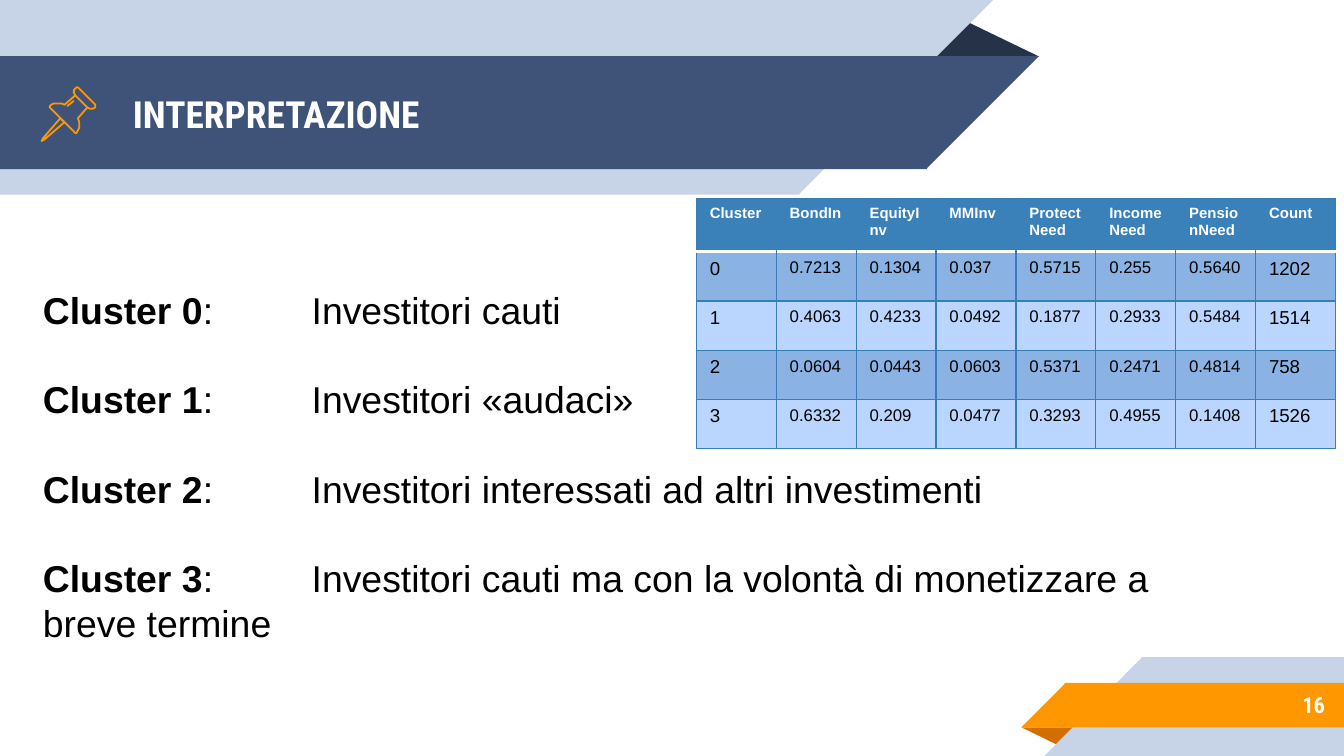
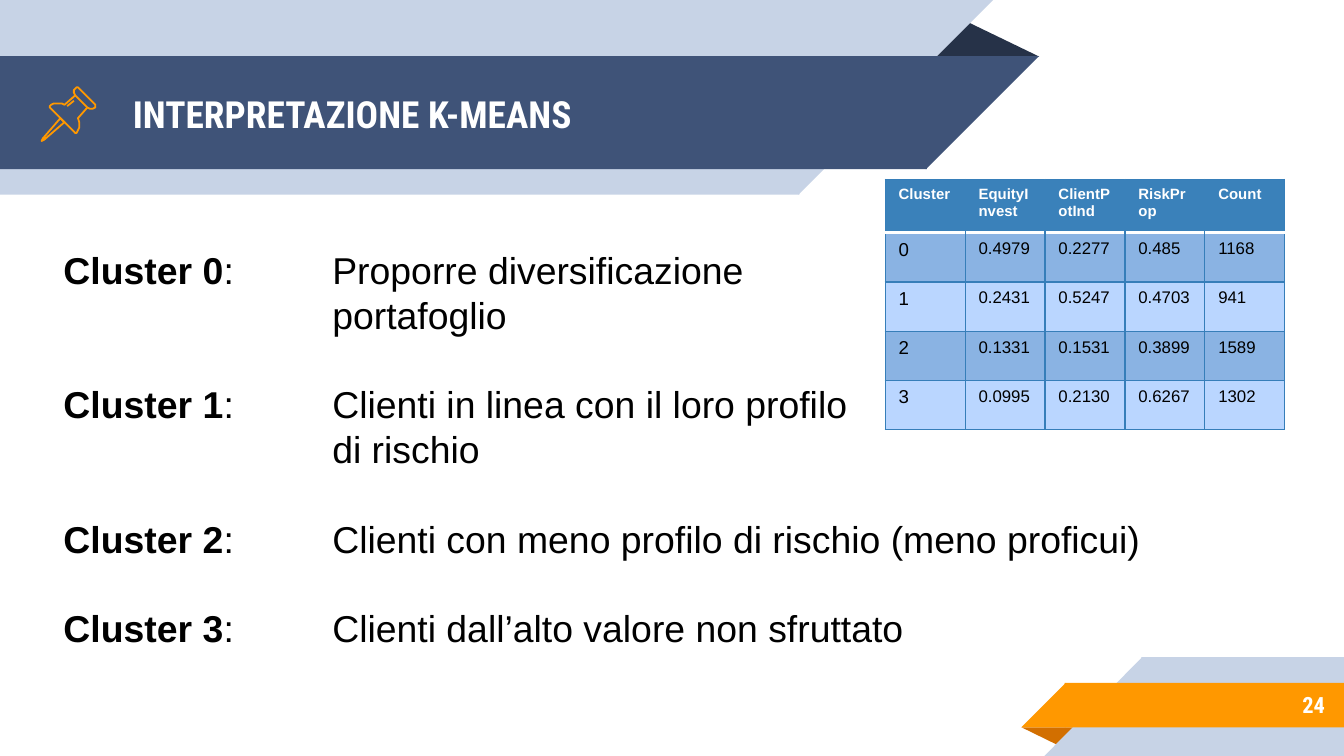
import pptx
import pptx.dml.color
import pptx.enum.shapes
import pptx.enum.text
import pptx.oxml
import pptx.oxml.ns
import pptx.util
from lxml import etree

Cm, Pt = pptx.util.Cm, pptx.util.Pt
SHAPE = pptx.enum.shapes.MSO_SHAPE
ALIGN = pptx.enum.text.PP_ALIGN
ANCHOR = pptx.enum.text.MSO_ANCHOR
qn = pptx.oxml.ns.qn

# Content
SLIDES = [
    {
        "title": "INTERPRETAZIONE",
        "number": "16",
        "body": (0.56, 5.29, 22.6, 7.09),
        "clusters": [
            ["Investitori cauti"],
            ["Investitori «audaci»"],
            ["Investitori interessati ad altri investimenti"],
            ["Investitori cauti ma con la volontà di monetizzare a breve termine"],
        ],
        "table_at": (13.16, 3.75),
        "large_columns": (0, 7),
        "table": [
            ["Cluster", "BondIn", "EquityInv", "MMInv", "ProtectNeed",
             "IncomeNeed", "PensionNeed", "Count"],
            ["0", "0.7213", "0.1304", "0.037", "0.5715", "0.255", "0.5640", "1202"],
            ["1", "0.4063", "0.4233", "0.0492", "0.1877", "0.2933", "0.5484", "1514"],
            ["2", "0.0604", "0.0443", "0.0603", "0.5371", "0.2471", "0.4814", "758"],
            ["3", "0.6332", "0.209", "0.0477", "0.3293", "0.4955", "0.1408", "1526"],
        ],
    },
    {
        "title": "INTERPRETAZIONE K-MEANS",
        "number": "24",
        "body": (0.95, 4.54, 22.6, 7.95),
        "clusters": [
            ["Proporre diversificazione", "portafoglio"],
            ["Clienti in linea con il loro profilo", "di rischio"],
            ["Clienti con meno profilo di rischio (meno proficui)"],
            ["Clienti dall’alto valore non sfruttato"],
        ],
        "table_at": (16.73, 3.39),
        "large_columns": (0,),
        "table": [
            ["Cluster", "EquityInvest", "ClientPotInd", "RiskProp", "Count"],
            ["0", "0.4979", "0.2277", "0.485", "1168"],
            ["1", "0.2431", "0.5247", "0.4703", "941"],
            ["2", "0.1331", "0.1531", "0.3899", "1589"],
            ["3", "0.0995", "0.2130", "0.6267", "1302"],
        ],
    },
]

# Shared style
COLORS = {
    "navy": "3F5378", "dark": "263248", "pale": "C7D3E6",
    "orange": "FF9800", "rust": "D26F00", "white": "FFFFFF", "black": "000000",
    "header": "3A81BA", "border": "367EB9", "band_odd": "8AB3E3", "band_even": "BAD6FF",
}
TITLE_FONT, BODY_FONT = "Roboto Condensed", "Arial"
COL_W, HEAD_H, ROW_H = 1.51, 1.01, 0.93
LINE_PITCH, TAB = 24, 5.08

# Bands: shape, left, top, width, height, colour, rotation, mirrored
BANDS = [
    (SHAPE.ISOSCELES_TRIANGLE, 17.48, 0.36, 2.16, 0.71, "dark", 0, False),
    (SHAPE.RECTANGLE, 0, 0, 15.11, 3.68, "pale", 0, False),
    (SHAPE.RIGHT_TRIANGLE, 15.09, 0, 3.68, 3.68, "pale", 180, True),
    (SHAPE.RECTANGLE, 0, 1.06, 17.52, 2.14, "navy", 0, False),
    (SHAPE.RIGHT_TRIANGLE, 17.5, 1.06, 2.14, 2.14, "navy", 180, True),
    (SHAPE.ISOSCELES_TRIANGLE, 19.31, 13.75, 1.08, 0.36, "rust", 180, False),
    (SHAPE.RECTANGLE, 21.57, 12.42, 3.83, 1.87, "pale", 0, False),
    (SHAPE.RIGHT_TRIANGLE, 19.74, 12.42, 1.85, 1.87, "pale", 0, True),
    (SHAPE.RECTANGLE, 20.12, 12.91, 5.28, 0.84, "orange", 0, False),
    (SHAPE.RIGHT_TRIANGLE, 19.3, 12.91, 0.84, 0.84, "orange", 0, True),
]

# Pushpin outlines in hundredths of an inch: points, closed
PIN = [
    ([(45, 88), (32, 103), (31, 105), (33, 104), (48, 91)], True),
    ([(56, 71), (65, 80), (67, 81), (69, 81), (71, 80), (71, 78), (58, 65),
      (57, 65), (56, 66), (55, 67), (55, 69)], True),
    ([(56, 71), (48, 78), (46, 77), (43, 77), (40, 77), (38, 78), (37, 79),
      (37, 80), (38, 81), (55, 98), (56, 99), (57, 99), (58, 97), (59, 95),
      (59, 91), (58, 88), (65, 80)], False),
    ([(50, 79), (55, 75)], False),
]


def rgb(name):
    return pptx.dml.color.RGBColor.from_string(COLORS[name])


def style(p, size, color, bold, font=BODY_FONT):
    for r in p.runs:
        r.font.name, r.font.size, r.font.bold = font, Pt(size), bold
        r.font.color.rgb = rgb(color)


def place(sp, left, top, width, height):
    sp.left, sp.top, sp.width, sp.height = Cm(left), Cm(top), Cm(width), Cm(height)


def set_frame(tf, anchor, margin_y):
    tf.word_wrap = True
    tf.auto_size = pptx.enum.text.MSO_AUTO_SIZE.NONE
    tf.vertical_anchor = anchor
    tf.margin_left = tf.margin_right = Cm(0.25)
    tf.margin_top = tf.margin_bottom = Cm(margin_y)


def add_bands(slide, layout):
    """Draw the bands and move them to the layout, behind its placeholders."""
    for i, (kind, left, top, width, height, color, turn, mirrored) in enumerate(BANDS):
        sp = slide.shapes.add_shape(kind, Cm(left), Cm(top), Cm(width), Cm(height))
        sp.shadow.inherit = False
        sp.fill.solid()
        sp.fill.fore_color.rgb = rgb(color)
        sp.line.fill.background()
        sp.rotation = turn
        if mirrored:
            sp._element.spPr.find(qn("a:xfrm")).set("flipH", "1")
        if kind == SHAPE.ISOSCELES_TRIANGLE:
            sp.adjustments[0] = 0.32
        layout.shapes._spTree.insert(2 + i, sp._element)


def add_title(slide, text):
    sp = slide.shapes.title
    place(sp, 2.26, 1.09, 15.27, 2.13)
    set_frame(sp.text_frame, ANCHOR.MIDDLE, 0.25)
    sp.text_frame.text = text
    p = sp.text_frame.paragraphs[0]
    p.alignment = ALIGN.LEFT
    style(p, 20, "white", True, TITLE_FONT)


def add_pin(slide):
    for points, closed in PIN:
        builder = slide.shapes.build_freeform(*points[0], scale=Cm(2.54) / 100)
        builder.add_line_segments(points[1:], close=closed)
        sp = builder.convert_to_shape()
        sp.shadow.inherit = False
        sp.fill.background()
        sp.line.color.rgb = rgb("orange")
        sp.line.width = Pt(0.96)


def add_clusters(slide, box, clusters):
    sp = slide.placeholders[1]
    place(sp, *box)
    tf = sp.text_frame
    set_frame(tf, ANCHOR.TOP, 0.13)
    for i, lines in enumerate(clusters):
        p = tf.paragraphs[0] if i == 0 else tf.add_paragraph()
        pPr = p._p.get_or_add_pPr()
        pPr.set("marL", "0")
        pPr.set("indent", "0")
        pPr.set("defTabSz", str(Cm(TAB)))
        etree.SubElement(pPr, qn("a:buNone"))
        tabs = etree.SubElement(pPr, qn("a:tabLst"))
        etree.SubElement(tabs, qn("a:tab"), pos=str(Cm(TAB)), algn="l")
        p.alignment = ALIGN.LEFT
        p.line_spacing = Pt(LINE_PITCH)
        p.space_before = Pt(LINE_PITCH if i else 0)
        p.add_run().text = f"Cluster {i}"
        for j, line in enumerate(lines):
            if j:
                p.add_line_break()
            p.add_run().text = ("\t" if j else ":\t") + line
        style(p, 20, "black", False)
        p.runs[0].font.bold = True


def set_border(cell, side, color, width):
    ln = etree.SubElement(cell._tc.get_or_add_tcPr(), qn(f"a:ln{side}"), w=str(Pt(width)))
    fill = etree.SubElement(ln, qn("a:solidFill"))
    etree.SubElement(fill, qn("a:srgbClr"), val=COLORS[color])


def add_table(slide, at, rows, large_columns):
    n_rows, n_cols = len(rows), len(rows[0])
    frame = slide.shapes.add_table(
        n_rows, n_cols, Cm(at[0]), Cm(at[1]),
        Cm(COL_W * n_cols), Cm(HEAD_H + ROW_H * (n_rows - 1)))
    table = frame.table
    for col in table.columns:
        col.width = Cm(COL_W)
    for i, values in enumerate(rows):
        table.rows[i].height = Cm(ROW_H if i else HEAD_H)
        for j, value in enumerate(values):
            cell = table.cell(i, j)
            edges = {side: ("border", 0.75) for side in "LRTB"}
            if i == 0:
                inner = ("header", 0.75)
                edges.update(L=inner if j else edges["L"],
                             R=inner if j < n_cols - 1 else edges["R"],
                             B=("white", 2))
            elif i == 1:
                edges["T"] = ("white", 2)
            for side, (color, width) in edges.items():
                set_border(cell, side, color, width)
            cell.fill.solid()
            band = "band_odd" if i % 2 else "band_even"
            cell.fill.fore_color.rgb = rgb(band if i else "header")
            cell.text_frame.text = value
            p = cell.text_frame.paragraphs[0]
            if i == 0:
                style(p, 8, "white", True)
            else:
                style(p, 10 if j in large_columns else 9, "black", False)


def add_number(slide, number):
    sp = slide.shapes.add_textbox(Cm(21.15), Cm(12.88), Cm(4.14), Cm(0.89))
    set_frame(sp.text_frame, ANCHOR.MIDDLE, 0.25)
    sp.text_frame.text = number
    p = sp.text_frame.paragraphs[0]
    p.alignment = ALIGN.RIGHT
    style(p, 12, "white", True, TITLE_FONT)


def main():
    prs = pptx.Presentation()
    prs.slide_width, prs.slide_height = Cm(25.4), Cm(14.29)
    layout = prs.slide_layouts[1]
    for i, data in enumerate(SLIDES):
        slide = prs.slides.add_slide(layout)
        if i == 0:
            add_bands(slide, layout)
        add_title(slide, data["title"])
        add_pin(slide)
        add_clusters(slide, data["body"], data["clusters"])
        add_table(slide, data["table_at"], data["table"], data["large_columns"])
        add_number(slide, data["number"])
    prs.save("out.pptx")


if __name__ == "__main__":
    main()
